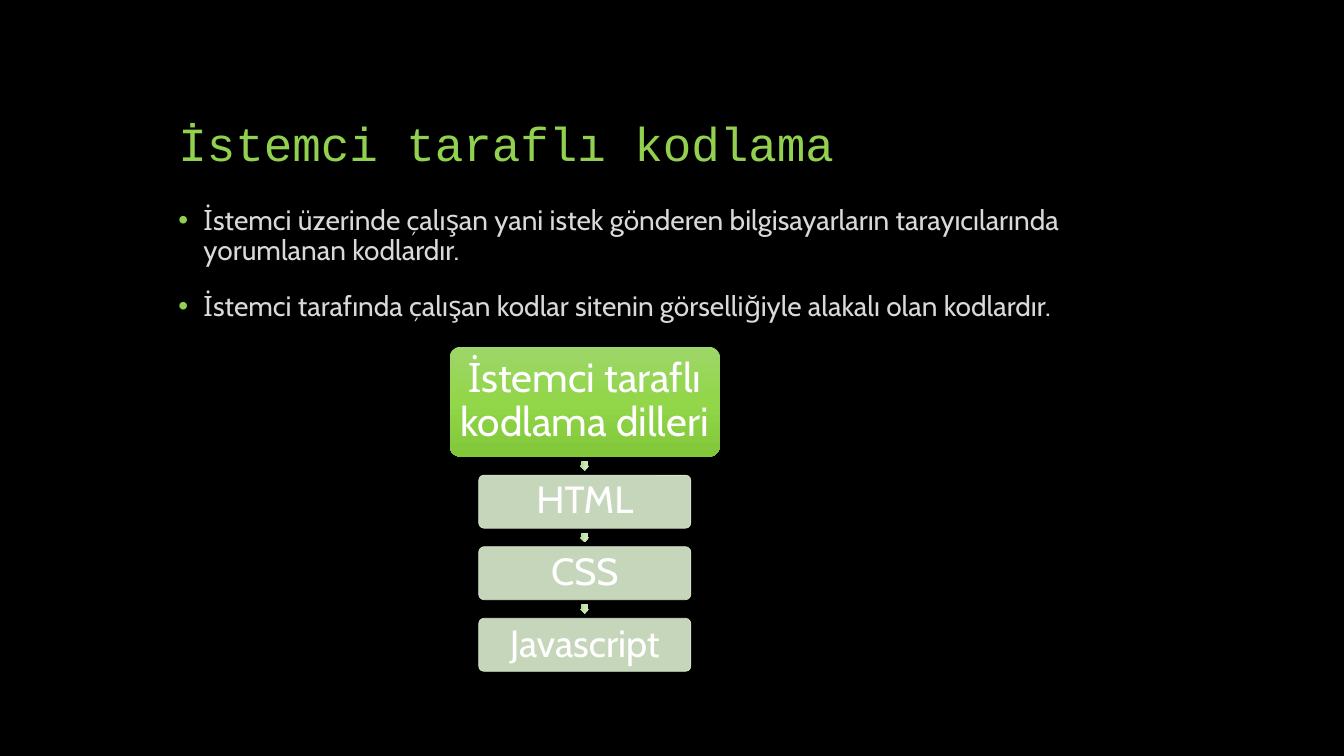
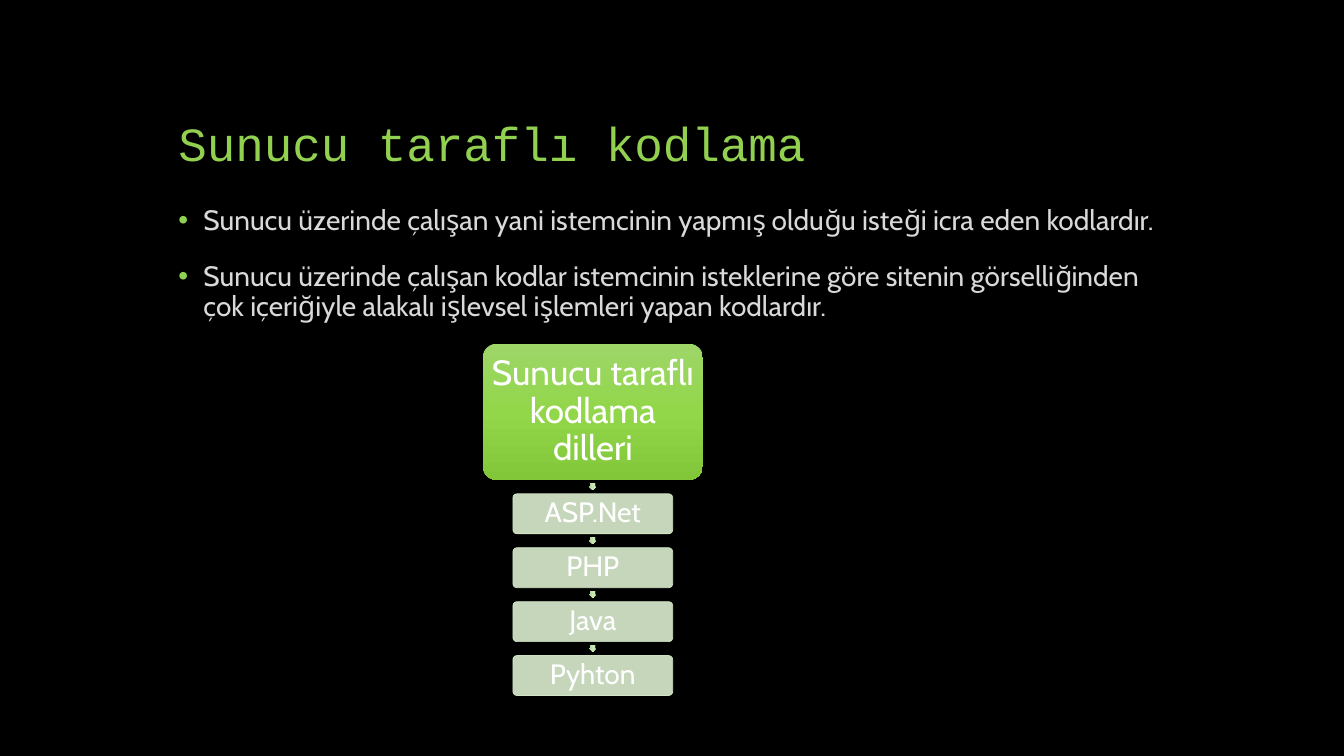
from pptx import Presentation
from pptx.dml.color import RGBColor
from pptx.enum.shapes import MSO_SHAPE
from pptx.enum.text import MSO_ANCHOR, PP_ALIGN
from pptx.oxml import parse_xml
from pptx.oxml.ns import nsdecls, qn
from pptx.util import Inches, Pt

ROUNDED, ARROW = MSO_SHAPE.ROUNDED_RECTANGLE, MSO_SHAPE.RIGHT_ARROW
MIDDLE, BOTTOM = MSO_ANCHOR.MIDDLE, MSO_ANCHOR.BOTTOM
CENTER = PP_ALIGN.CENTER

BLACK = RGBColor(0x00, 0x00, 0x00)
WHITE = RGBColor(0xFF, 0xFF, 0xFF)
GREEN = RGBColor(0x92, 0xD0, 0x50)
LIGHT_GRAY = RGBColor(0xD9, 0xD9, 0xD9)
PALE_GREEN = RGBColor(0xDC, 0xEE, 0xD0)
HEAD_GRADIENT = (RGBColor(0x9E, 0xD6, 0x69), RGBColor(0x92, 0xD6, 0x4A),
                 RGBColor(0x82, 0xC6, 0x3A))
ARROW_GRADIENT = (RGBColor(0xCF, 0xE9, 0xBD), RGBColor(0xC7, 0xE7, 0xB0),
                  RGBColor(0xB0, 0xD1, 0x99))

TITLE_FONT, BODY_FONT = "Courier New", "Cabin"
TITLE_BOX = (1.67, 0.5, 10, 1.25)
BODY_BOX = (1.67, 2, 10, 4.9)
LINE_SPACING = 0.9

# Proportions of the flow, as multiples of the height of a step
STEP_WIDTH, GAP, ARROW_SIZE = 4, 0.35, 0.175

SLIDES = [
    {
        "title": "İstemci taraflı kodlama",
        "points": [
            "İstemci üzerinde çalışan yani istek gönderen bilgisayarların "
            "tarayıcılarında yorumlanan kodlardır.",
            "İstemci tarafında çalışan kodlar sitenin görselliğiyle alakalı "
            "olan kodlardır.",
        ],
        "flow": {
            "box": (4.46, 3.44, 2.68, 3.22),
            "head": "İstemci taraflı kodlama dilleri",
            "head_height": 1.09,
            "steps": ["HTML", "CSS", "Javascript"],
            "sizes": (29, 27),
            "inset": 0.04,
        },
    },
    {
        "title": "Sunucu taraflı kodlama",
        "points": [
            "Sunucu üzerinde çalışan yani istemcinin yapmış olduğu isteği "
            "icra eden kodlardır.",
            "Sunucu üzerinde çalışan kodlar istemcinin isteklerine göre "
            "sitenin görselliğinden çok içeriğiyle alakalı işlevsel "
            "işlemleri yapan kodlardır.",
        ],
        "flow": {
            "box": (4.79, 3.41, 2.18, 3.49),
            "head": "Sunucu taraflı kodlama dilleri",
            "head_height": 1.35,
            "steps": ["ASP.Net", "PHP", "Java", "Pyhton"],
            "sizes": (25, 20),
            "inset": 0.03,
        },
    },
]


def style_paragraph(paragraph, text, font_name, size, color):
    paragraph.text = text
    paragraph.line_spacing = LINE_SPACING
    font = paragraph.font
    font.name, font.size, font.color.rgb = font_name, Pt(size), color


def add_text_frame(slide, box):
    frame = slide.shapes.add_textbox(*map(Inches, box)).text_frame
    frame.word_wrap = True
    return frame


def add_title(slide, box, text):
    frame = add_text_frame(slide, box)
    frame.vertical_anchor = BOTTOM
    style_paragraph(frame.paragraphs[0], text, TITLE_FONT, 34, GREEN)


def add_bullet(paragraph):
    properties = paragraph._p.get_or_add_pPr()
    indent = Inches(0.25)
    properties.set("marL", str(indent))
    properties.set("indent", str(-indent))
    for markup in (f'<a:buClr {nsdecls("a")}><a:srgbClr val="{GREEN}"/></a:buClr>',
                   f'<a:buFont {nsdecls("a")} typeface="Arial"/>',
                   f'<a:buChar {nsdecls("a")} char="•"/>'):
        # Bullet elements must stand before the default run properties
        properties.insert_element_before(parse_xml(markup), "a:defRPr")


def add_points(slide, box, points):
    frame = add_text_frame(slide, box)
    for index, point in enumerate(points):
        paragraph = frame.add_paragraph() if index else frame.paragraphs[0]
        style_paragraph(paragraph, point, BODY_FONT, 20, LIGHT_GRAY)
        paragraph.space_before = Pt(18)
        add_bullet(paragraph)


def add_plain_shape(slide, kind, box):
    shape = slide.shapes.add_shape(kind, *map(Inches, box))
    shape.shadow.inherit = False
    return shape


def fill_gradient(shape, colors):
    """Fill with evenly spaced colours from top to bottom, without outline."""
    last = len(colors) - 1
    stops = "".join(
        f'<a:gs pos="{100000 * i // last}"><a:srgbClr val="{color}"/></a:gs>'
        for i, color in enumerate(colors))
    geometry = shape._element.spPr.find(qn("a:prstGeom"))
    geometry.addnext(parse_xml(
        f'<a:gradFill {nsdecls("a")} rotWithShape="1"><a:gsLst>{stops}</a:gsLst>'
        '<a:lin ang="5400000" scaled="0"/></a:gradFill>'))
    shape.line.fill.background()


def fill_translucent(shape, color, opacity):
    """Give fill and outline the same colour and opacity in percent."""
    shape.fill.solid()
    shape.fill.fore_color.rgb = color
    shape.line.color.rgb = color
    shape.line.width = Pt(0.5)
    for tone in shape._element.spPr.iter(qn("a:srgbClr")):
        tone.append(parse_xml(f'<a:alpha {nsdecls("a")} val="{opacity * 1000}"/>'))


def add_card(slide, box, text, size, inset):
    card = add_plain_shape(slide, ROUNDED, box)
    card.adjustments[0] = 0.1
    frame = card.text_frame
    frame.word_wrap = True
    frame.vertical_anchor = MIDDLE
    frame.margin_left = frame.margin_right = Inches(inset)
    frame.margin_top = frame.margin_bottom = Inches(inset)
    style_paragraph(frame.paragraphs[0], text, BODY_FONT, size, WHITE)
    frame.paragraphs[0].alignment = CENTER
    return card


def add_arrow(slide, center_x, center_y, size):
    arrow = add_plain_shape(
        slide, ARROW, (center_x - size / 2, center_y - size / 2, size, size))
    arrow.rotation = 90
    arrow.adjustments[0] = 0.67
    fill_gradient(arrow, ARROW_GRADIENT)


def add_flow(slide, box, head, head_height, steps, sizes, inset):
    """Stack a head card and its steps, joined by arrows, to fill the box."""
    left, top, width, height = box
    head_size, step_size = sizes
    head_card = add_card(slide, (left, top, width, head_height),
                         head, head_size, inset)
    fill_gradient(head_card, HEAD_GRADIENT)

    pitch = (height - head_height) / len(steps)
    step_height = pitch / (1 + GAP)
    step_width, gap = STEP_WIDTH * step_height, GAP * step_height
    center_x = left + width / 2
    for index, step in enumerate(steps):
        gap_top = top + head_height + index * pitch
        add_arrow(slide, center_x, gap_top + gap / 2, ARROW_SIZE * step_height)
        step_card = add_card(
            slide,
            (center_x - step_width / 2, gap_top + gap, step_width, step_height),
            step, step_size, inset)
        fill_translucent(step_card, PALE_GREEN, 90)


def add_language_slide(presentation, title, points, flow):
    slide = presentation.slides.add_slide(presentation.slide_layouts[6])
    add_title(slide, TITLE_BOX, title)
    add_points(slide, BODY_BOX, points)
    add_flow(slide, **flow)


def main():
    presentation = Presentation()
    presentation.slide_width = Inches(13.33)
    presentation.slide_height = Inches(7.5)
    background = presentation.slide_master.background.fill
    background.solid()
    background.fore_color.rgb = BLACK
    for content in SLIDES:
        add_language_slide(presentation, **content)
    presentation.save("out.pptx")


if __name__ == "__main__":
    main()
